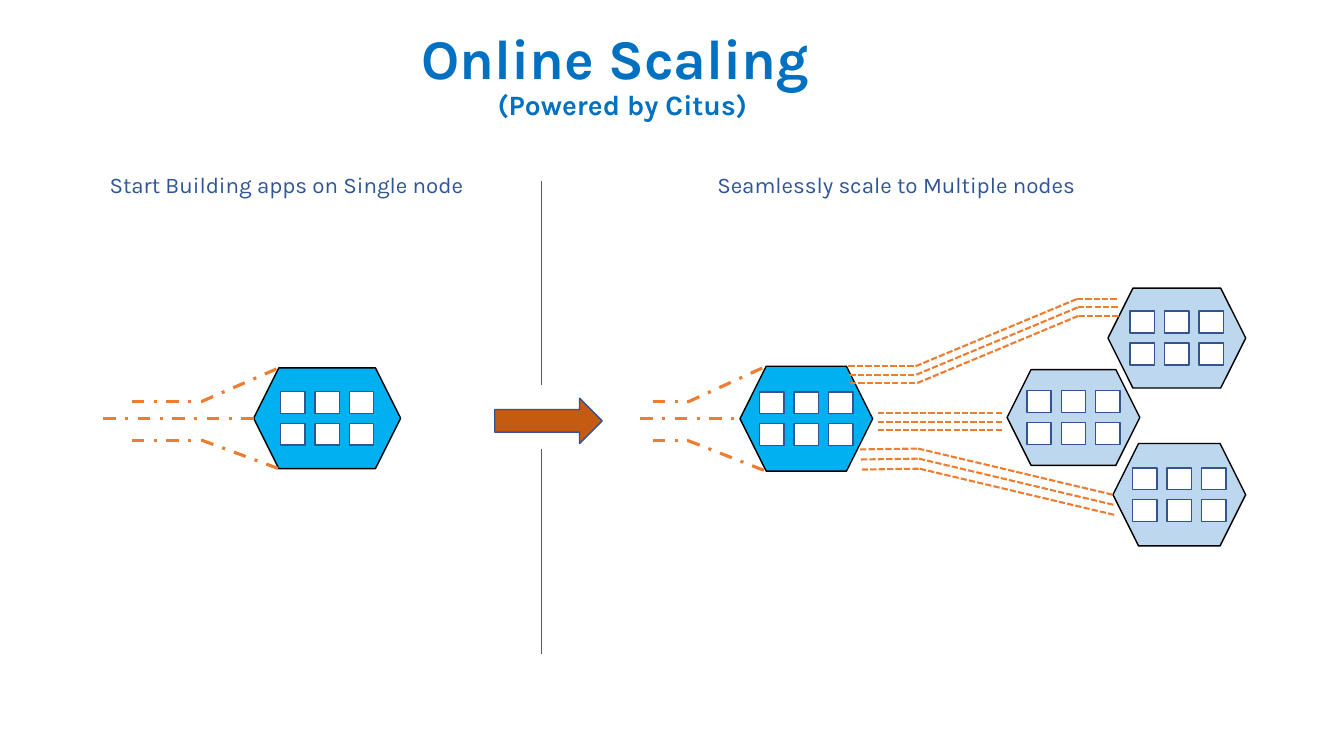
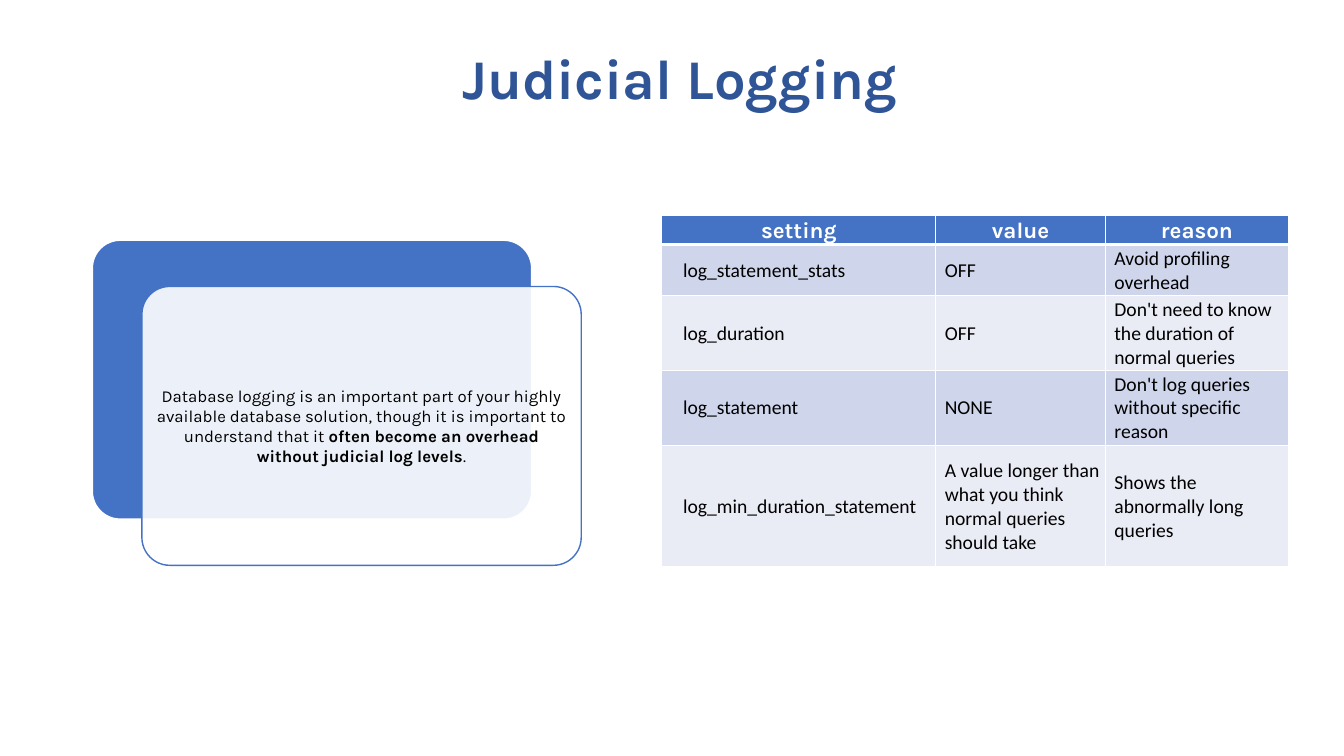
from dataclasses import dataclass
from itertools import pairwise, product

from lxml.etree import SubElement
from pptx import Presentation
from pptx.dml.color import RGBColor
from pptx.enum.dml import MSO_LINE as Dash
from pptx.enum.shapes import MSO_CONNECTOR as Link, MSO_SHAPE as Kind
from pptx.enum.text import MSO_ANCHOR as Anchor, MSO_AUTO_SIZE as Fit, PP_ALIGN as Align
from pptx.oxml.ns import qn
from pptx.util import Inches, Pt

# The slide is a grid of 16 columns and 9 rows with square cells.
COLS, ROWS = 16, 9
CELL = Inches(7.5) / ROWS


@dataclass(frozen=True)
class Theme:
    head: str = "Karla"
    body: str = "Calibri"
    title: int = 40
    sub: int = 20
    label: int = 16
    cell: int = 14
    note: int = 12
    sky: str = "0070C0"
    navy: str = "2F5597"
    edge: str = "325491"
    blue: str = "4472C4"
    node: str = "00B0F0"
    worker: str = "BDD7EE"
    flow: str = "ED7D31"
    arrow: str = "C55A11"
    rule: str = "595959"
    bands: tuple = ("CFD5EA", "E9EBF5")
    white: str = "FFFFFF"
    black: str = "000000"


T = Theme()


@dataclass(frozen=True)
class Box:
    """A region measured in grid cells."""
    x: float
    y: float
    w: float
    h: float

    def sub(self, x, y, w, h):
        return Box(self.x + x, self.y + y, w, h)

    def spot(self, x, y):
        return self.x + x, self.y + y

    def emu(self):
        return [grid(v) for v in (self.x, self.y, self.w, self.h)]


def grid(cells):
    return round(cells * CELL)


def rgb(code):
    return RGBColor.from_string(code)


def write(frame, *runs, size=T.label, font=T.head, color=T.black, bold=False,
          align=Align.CENTER, space=None):
    """Fill one paragraph; a run is text or (text, overrides)."""
    para = frame.paragraphs[0]
    para.alignment = align
    if space:
        para.line_spacing = space
    for item in runs:
        text, own = (item, {}) if isinstance(item, str) else item
        run = para.add_run()
        run.text = text.rstrip("\n")
        run.font.name = font
        run.font.size = Pt(own.get("size", size))
        run.font.bold = own.get("bold", bold)
        run.font.color.rgb = rgb(color)
        if text.endswith("\n"):
            para.add_line_break()


def shape(slide, kind, box, fill, edge):
    item = slide.shapes.add_shape(kind, *box.emu())
    item.shadow.inherit = False
    item.fill.solid()
    item.fill.fore_color.rgb = rgb(fill)
    item.line.color.rgb = rgb(edge)
    item.line.width = Pt(1)
    return item


def trace(slide, points, color=T.flow, width=1.5, dash=Dash.SQUARE_DOT):
    """Join the points with straight connectors."""
    for start, end in pairwise(points):
        item = slide.shapes.add_connector(
            Link.STRAIGHT, *(grid(v) for v in start + end))
        item.line.color.rgb = rgb(color)
        item.line.width = Pt(width)
        if dash:
            item.line.dash_style = dash
        SubElement(item.element.spPr, qn("a:effectLst"))


def new_slide(deck, box, *runs, color):
    slide = deck.slides.add_slide(deck.slide_layouts[5])
    title = slide.shapes.title
    title.left, title.top, title.width, title.height = box.emu()
    frame = title.text_frame
    frame.word_wrap = True
    frame.auto_size = Fit.NONE
    frame.vertical_anchor = Anchor.MIDDLE
    write(frame, *runs, size=T.title, color=color, bold=True, space=0.9)
    return slide


def caption(slide, box, text):
    frame = slide.shapes.add_textbox(*box.emu()).text_frame
    frame.word_wrap = True
    write(frame, text, color=T.navy)


def node(slide, box, fill):
    """A hexagon holding a centred grid of three by two tiles."""
    wide, high, across, down = 0.29, 0.26, 0.41, 0.38
    shape(slide, Kind.HEXAGON, box, fill, T.black)
    left = (box.w - 2 * across - wide) / 2
    top = (box.h - down - high) / 2
    for row, col in product(range(2), range(3)):
        tile = box.sub(left + col * across, top + row * down, wide, high)
        shape(slide, Kind.RECTANGLE, tile, T.white, T.edge)


def feed(slide, box, outer, middle):
    """Three streams that run into the left side of a node."""
    mid, bend, inset = box.h / 2, -0.62, box.h / 4
    routes = (
        [(-outer, mid - 0.2), (bend, mid - 0.2), (inset, 0)],
        [(-middle, mid), (0, mid)],
        [(-outer, mid + 0.26), (bend, mid + 0.26), (inset, box.h)],
    )
    for route in routes:
        trace(slide, [box.spot(*p) for p in route], width=2.25, dash=Dash.DASH_DOT)


def sheaf(slide, box, route, right, down):
    """Three like strands, each moved on by the same step."""
    for n in range(3):
        trace(slide, [box.spot(x + n * right, y + n * down) for x, y in route])


def single(slide, box):
    caption(slide, box.sub(0, 0, box.w, 0.44), "Start Building apps on Single node")
    main = box.sub(2.08, 2.4, 1.75, 1.2)
    node(slide, main, T.node)
    feed(slide, main, 1.45, 1.79)


def cluster(slide, box):
    caption(slide, box.sub(0.66, 0, 4.78, 0.44), "Seamlessly scale to Multiple nodes")
    main = box.sub(1.19, 2.38, 1.58, 1.25)
    node(slide, main, T.node)
    feed(slide, main, 1.04, 1.19)
    for place in ((5.63, 3.3, 1.58, 1.22), (4.37, 2.42, 1.58, 1.14),
                  (5.57, 1.45, 1.64, 1.19)):
        node(slide, box.sub(*place), T.worker)
    sheaf(slide, box, [(2.48, 2.38), (3.28, 2.38), (5.2, 1.58), (5.7, 1.58)], 0.01, 0.1)
    sheaf(slide, box, [(2.83, 2.94), (4.31, 2.94)], 0, 0.1)
    sheaf(slide, box, [(2.62, 3.37), (3.31, 3.36), (5.63, 3.91)], 0.01, 0.12)


def divide(slide, box):
    """A split vertical rule with an arrow through its gap."""
    mid = box.w / 2 - 0.09
    for top, end in ((0, 2.42), (3.19, box.h)):
        trace(slide, [box.spot(mid, top), box.spot(mid, end)],
              color=T.rule, width=0.5, dash=None)
    shape(slide, Kind.RIGHT_ARROW, box.sub(0, 2.58, box.w, 0.54), T.arrow, T.edge)


def cards(slide, box):
    """Two offset cards; the front one is translucent and holds the note."""
    right, down = 0.59, 0.55
    wide, high = box.w - right, box.h - down
    back = shape(slide, Kind.ROUNDED_RECTANGLE, box.sub(0, 0, wide, high),
                 T.blue, T.white)
    front = shape(slide, Kind.ROUNDED_RECTANGLE, box.sub(right, down, wide, high),
                  T.white, T.blue)
    for card in (back, front):
        card.adjustments[0] = 0.1
    tint = next(front.element.spPr.iter(qn("a:srgbClr")))
    SubElement(tint, qn("a:alpha"), val="90000")
    frame = front.text_frame
    frame.word_wrap = True
    frame.vertical_anchor = Anchor.MIDDLE
    frame.margin_left = frame.margin_right = Inches(0.05)
    frame.margin_top = frame.margin_bottom = Inches(0.05)
    write(frame,
          "Database logging is an important part of your highly available database "
          "solution, though it is important to understand that it ",
          ("often become an overhead without judicial log levels", {"bold": True}),
          ".", size=T.note)


def border(cell, base):
    """White cell edges, with the bottom one of the given width."""
    props = cell._tc.get_or_add_tcPr()
    for n, (side, width) in enumerate(zip("LRTB", (1, 1, 1, base))):
        line = SubElement(props, qn(f"a:ln{side}"), w=str(Pt(width)))
        fill = SubElement(line, qn("a:solidFill"))
        SubElement(fill, qn("a:srgbClr"), val=T.white)
        props.insert(n, line)


def chart(slide, box, rows, wide, high):
    """A table with a header row and banded body rows."""
    table = slide.shapes.add_table(len(rows), len(wide), *box.emu()).table
    for col, width in zip(table.columns, wide):
        col.width = grid(width)
    for row, height in zip(table.rows, high):
        row.height = grid(height)
    for (r, texts) in enumerate(rows):
        for c, text in enumerate(texts):
            cell = table.cell(r, c)
            head = r == 0
            cell.fill.solid()
            cell.fill.fore_color.rgb = rgb(T.blue if head else T.bands[(r - 1) % 2])
            cell.vertical_anchor = Anchor.BOTTOM if head else Anchor.MIDDLE
            cell.margin_left = Inches(0.01 if head else 0.09 if c else 0.21)
            cell.margin_right = cell.margin_top = Inches(0.01)
            cell.margin_bottom = 0
            border(cell, 3 if head else 1)
            if head:
                write(cell.text_frame, text, color=T.white, bold=True)
            else:
                write(cell.text_frame, text, size=T.cell, font=T.body, align=Align.LEFT)


def scaling(deck):
    slide = new_slide(deck, Box(1.15, 0.31, 12.52, 1.19), "Online Scaling \n",
                      ("(Powered by Citus)", {"size": T.sub}), color=T.sky)
    single(slide, Box(0.94, 1.98, 4.94, 5.81))
    cluster(slide, Box(7.62, 1.98, 7.21, 5.81))
    divide(slide, Box(5.89, 2.16, 1.28, 5.63))


def logging(deck):
    slide = new_slide(deck, Box(0.84, 0.42, 14.5, 1.1), "Judicial Logging", color=T.navy)
    cards(slide, Box(1.1, 2.86, 5.82, 3.87))
    rows = (
        ("setting", "value", "reason"),
        ("log_statement_stats", "OFF", "Avoid profiling overhead"),
        ("log_duration", "OFF", "Don't need to know the duration of normal queries"),
        ("log_statement", "NONE", "Don't log queries without specific reason"),
        ("log_min_duration_statement",
         "A value longer than what you think normal queries should take",
         "Shows the abnormally long queries"),
    )
    chart(slide, Box(7.88, 2.57, 7.46, 4.18), rows,
          (3.26, 2.02, 2.18), (0.34, 0.61, 0.89, 0.89, 1.45))


def main():
    deck = Presentation()
    deck.slide_width, deck.slide_height = grid(COLS), grid(ROWS)
    scaling(deck)
    logging(deck)
    deck.save("out.pptx")


if __name__ == "__main__":
    main()
